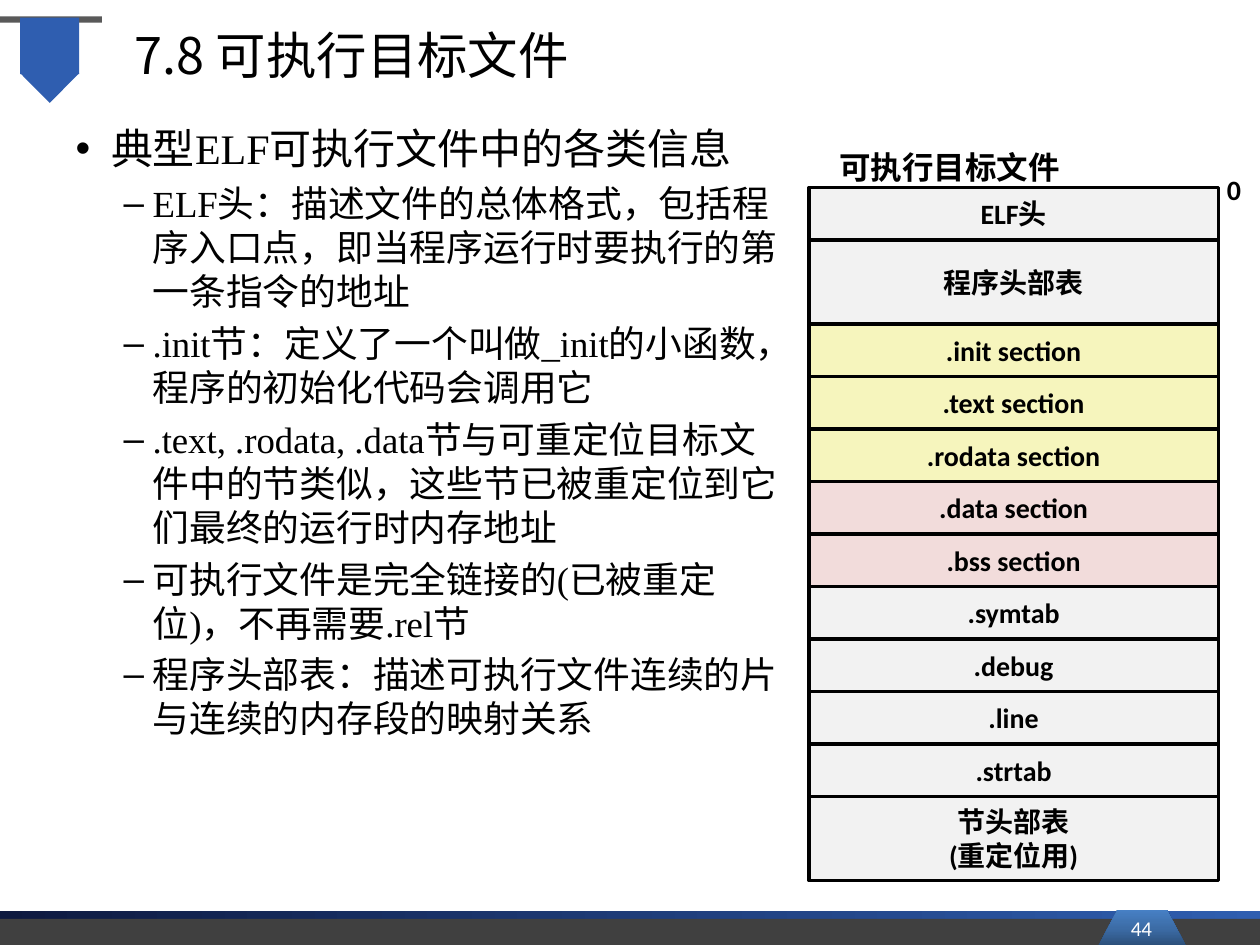
from lxml import etree
from pptx import Presentation
from pptx.dml.color import RGBColor
from pptx.enum import shapes as s, text as t
from pptx.oxml.ns import qn
from pptx.util import Pt

HEAD = "7.8 可执行目标文件"
LIST = [
    (0, "典型ELF可执行文件中的各类信息"),
    (1, "ELF头：描述文件的总体格式，包括程序入口点，即当程序运行时要执行的第一条指令的地址"),
    (1, ".init节：定义了一个叫做_init的小函数，程序的初始化代码会调用它"),
    (1, ".text, .rodata, .data节与可重定位目标文件中的节类似，这些节已被重定位到它们最终的运行时内存地址"),
    (1, "可执行文件是完全链接的(已被重定位)，不再需要.rel节"),
    (1, "程序头部表：描述可执行文件连续的片与连续的内存段的映射关系"),
]
ROWS = [
    (["ELF头"], "gray", 30),
    (["程序头部表"], "gray", 48),
    ([".init section"], "code", 30),
    ([".text section"], "code", 30),
    ([".rodata section"], "code", 30),
    ([".data section"], "data", 30),
    ([".bss section"], "data", 30),
    ([".symtab"], "gray", 30),
    ([".debug"], "gray", 30),
    ([".line"], "gray", 30),
    ([".strtab"], "gray", 30),
    (["节头部表", "(重定位用)"], "gray", 48),
]
THEME = {
    "ink": "000000", "white": "FFFFFF", "gray": "F2F2F2", "code": "F6F5BD",
    "data": "F2DCDB", "blue": "2F5EB0", "rule": "595959", "foot": "404040",
    "fade": ["0E1A40", "2F5EB0"], "tab": ["2A4C75", "3C6CA6", "4780C5"],
    "cjk": "Noto Sans CJK SC", "serif": "Times New Roman", "sans": "Calibri",
    "head": 28.8, "list": [24, 21], "cell": 16, "name": 18, "page": 12,
}
LEVELS = [("•", 20.25, 20.25, 29), ("–", 44, 16.5, 25.14)]
LEFT, TOP, WIDE = 462.2, 107.2, 234


def color(key):
    return RGBColor.from_string(THEME[key])


def add_run(para, words, size, face, ink="ink", bold=False):
    run = para.add_run()
    run.text = words
    font = run.font
    font.size, font.name, font.bold = Pt(size), THEME[face], bold
    font.color.rgb = color(ink)
    east = etree.SubElement(run._r.get_or_add_rPr(), qn("a:ea"))
    east.set("typeface", THEME["cjk"])


def place(item, left, top, wide, high):
    item.left, item.top, item.width, item.height = map(Pt, (left, top, wide, high))


def add_block(kind, box, fill, angle=None):
    shape = slide.shapes.add_shape(kind, *map(Pt, box))
    shape.shadow.inherit = False
    shape.line.fill.background()
    if angle is None:
        shape.fill.solid()
        shape.fill.fore_color.rgb = color(fill)
        return shape
    shape.fill.gradient()
    shape.fill.gradient_angle = angle
    stops = shape._element.spPr.find(qn("a:gradFill")).find(qn("a:gsLst"))
    for old in list(stops):
        stops.remove(old)
    tones = THEME[fill]
    for i, tone in enumerate(tones):
        stop = etree.SubElement(stops, qn("a:gs"), pos=str(100000 * i // (len(tones) - 1)))
        etree.SubElement(stop, qn("a:srgbClr"), val=tone)
    return shape


def fill_text(shape, lines, size, pitch, ink="ink", bold=True, align="CENTER", anchor="MIDDLE"):
    frame = shape.text_frame
    frame.word_wrap = False
    frame.vertical_anchor = t.MSO_ANCHOR[anchor]
    for i, words in enumerate(lines):
        para = frame.add_paragraph() if i else frame.paragraphs[0]
        para.alignment = t.PP_ALIGN[align]
        para.line_spacing = Pt(pitch)
        add_run(para, words, size, "sans", ink, bold)


def add_label(words, box, size, pitch, **style):
    label = slide.shapes.add_textbox(*map(Pt, box))
    fill_text(label, [words], size, pitch, **style)


def add_frame():
    kind = s.MSO_SHAPE
    add_block(kind.RECTANGLE, (0, 9.4, 58.3, 3.6), "rule")
    add_block(kind.RECTANGLE, (11.5, 10, 33.8, 32.4), "blue")
    tip = add_block(kind.ISOSCELES_TRIANGLE, (11.5, 41.8, 33.8, 17), "blue")
    tip.rotation = 180
    add_block(kind.RECTANGLE, (0, 520.6, 720, 19.4), "fade", 0)
    add_block(kind.RECTANGLE, (0, 525, 720, 15), "foot")
    tab = add_block(kind.TRAPEZOID, (627.1, 519.8, 51.1, 21.6), "tab", 90)
    tab.adjustments[0] = 0.535
    add_label("44", (620.6, 519.1, 63.4, 22.3), THEME["page"], 14.6, ink="white", bold=False)


def add_words():
    title, body = slide.shapes.title, slide.placeholders[1]
    place(title, 69.8, 8.6, 613.4, 44.6)
    frame = title.text_frame
    frame.auto_size = t.MSO_AUTO_SIZE.NONE
    frame.vertical_anchor = t.MSO_ANCHOR.MIDDLE
    frame.paragraphs[0].alignment = t.PP_ALIGN.LEFT
    add_run(frame.paragraphs[0], HEAD, THEME["head"], "cjk")

    place(body, 36, 66.2, 416.2, 416.2)
    frame = body.text_frame
    frame.auto_size = t.MSO_AUTO_SIZE.NONE
    frame.word_wrap = True
    for i, (level, words) in enumerate(LIST):
        para = frame.add_paragraph() if i else frame.paragraphs[0]
        mark, left, hang, pitch = LEVELS[level]
        para.level = level
        para.line_spacing = Pt(pitch)
        para.space_before = Pt(4.5 if i else 0)
        props = para._p.get_or_add_pPr()
        props.set("marL", str(Pt(left)))
        props.set("indent", str(-Pt(hang)))
        etree.SubElement(props, qn("a:buFont"), typeface="Arial")
        etree.SubElement(props, qn("a:buChar"), char=mark)
        add_run(para, words, THEME["list"][level], "serif")


def add_stack():
    top = TOP
    for lines, fill, high in ROWS:
        cell = add_block(s.MSO_SHAPE.RECTANGLE, (LEFT, top, WIDE, high), fill)
        cell.line.color.rgb = color("ink")
        cell.line.width = Pt(2)
        fill_text(cell, lines, THEME["cell"], 19)
        top += high
    add_label("0", (694, 95, 22.3, 26.6), THEME["cell"], 19, align="LEFT", anchor="TOP")
    add_label("可执行目标文件", (471.6, 80.6, 141.8, 28.8), THEME["name"], 22, anchor="TOP")


deck = Presentation()
deck.slide_width, deck.slide_height = Pt(720), Pt(540)
slide = deck.slides.add_slide(deck.slide_layouts[1])
add_frame()
add_words()
add_stack()
deck.save("out.pptx")
